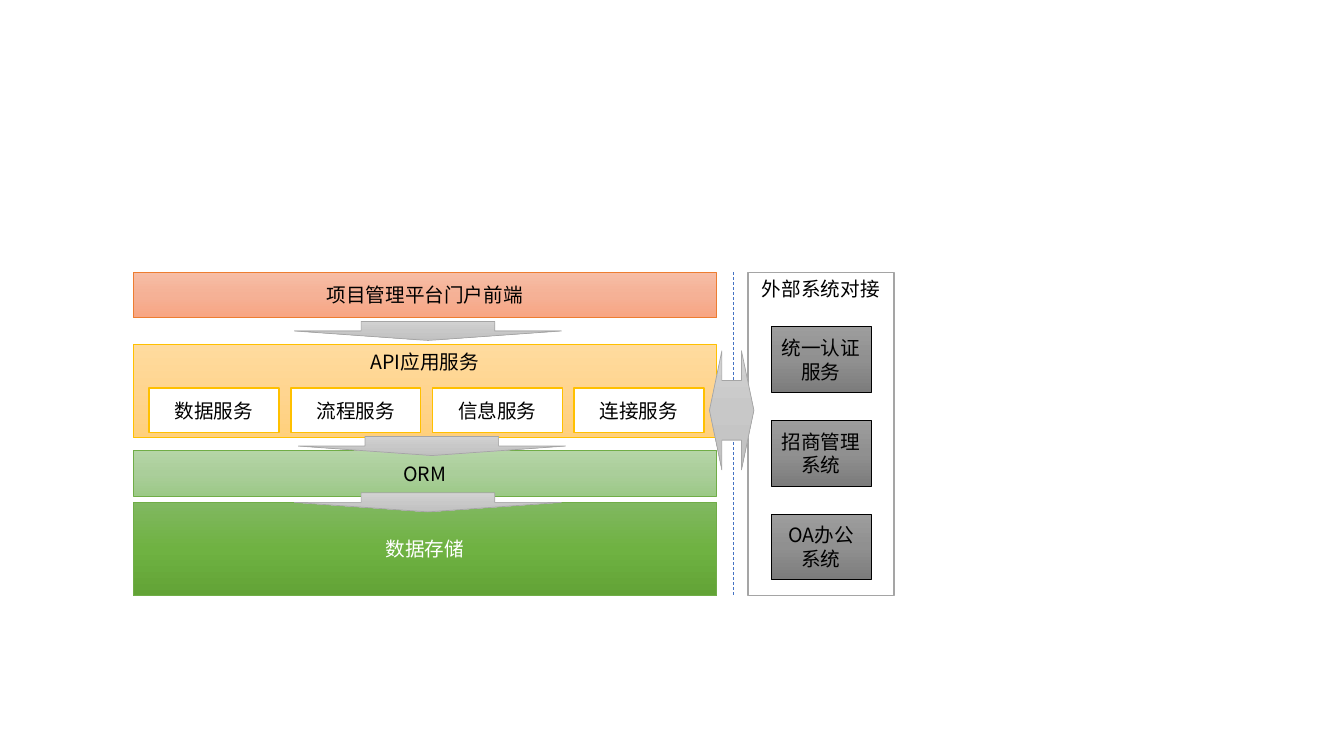
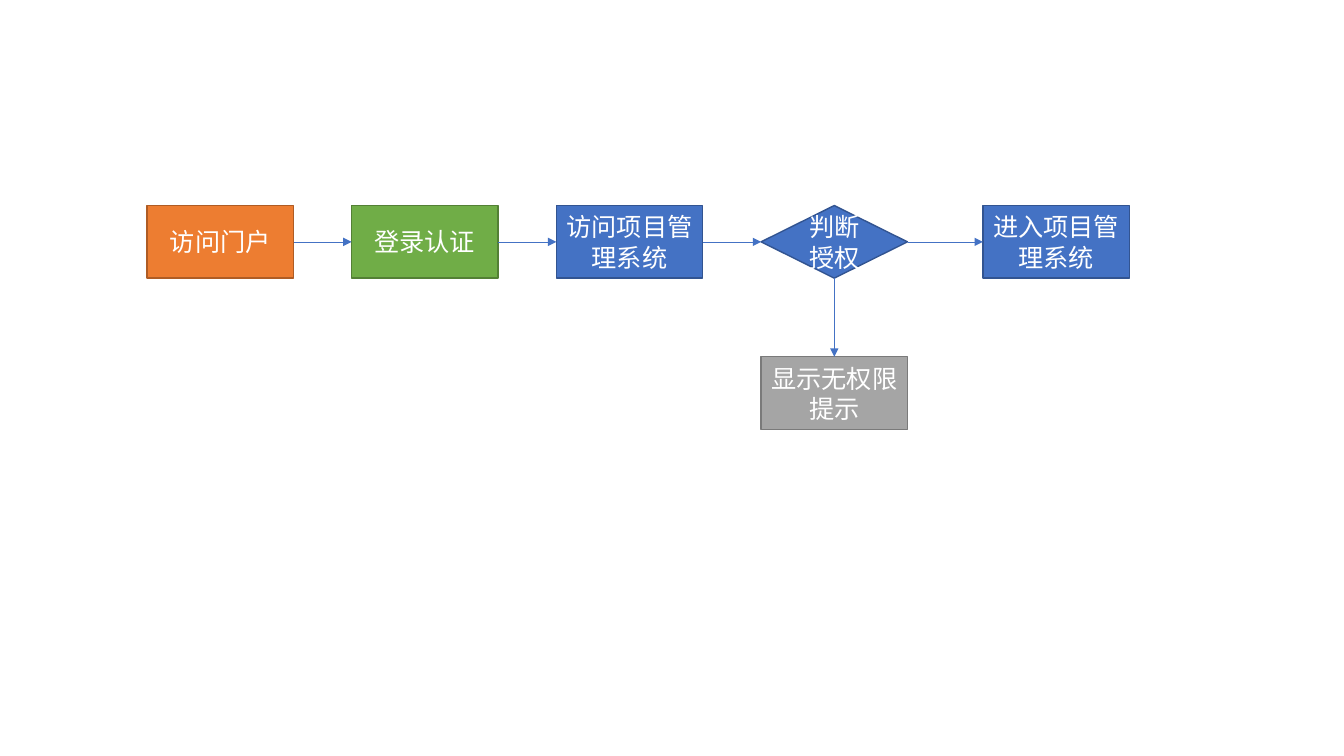
"""Build two slides: a platform architecture and an access flow."""
import copy

import pptx
import pptx.dml.color
import pptx.enum.dml
import pptx.enum.shapes
import pptx.enum.text
import pptx.oxml.ns
import pptx.util
from lxml import etree

Cm = pptx.util.Cm
Pt = pptx.util.Pt
RGB = pptx.dml.color.RGBColor
SHAPE = pptx.enum.shapes.MSO_SHAPE
ANCHOR = pptx.enum.text.MSO_ANCHOR
qn = pptx.oxml.ns.qn

FONT = "Noto Sans CJK SC"
BLACK = RGB(0x00, 0x00, 0x00)
WHITE = RGB(0xFF, 0xFF, 0xFF)
BLUE = RGB(0x44, 0x72, 0xC4)
DARK_BLUE = RGB(0x32, 0x54, 0x91)
ORANGE = RGB(0xED, 0x7D, 0x31)
DARK_ORANGE = RGB(0xAF, 0x5C, 0x24)
GREEN = RGB(0x70, 0xAD, 0x47)
DARK_GREEN = RGB(0x53, 0x80, 0x35)
GRAY = RGB(0xA5, 0xA5, 0xA5)
DARK_GRAY = RGB(0x7A, 0x7A, 0x7A)
GOLD = RGB(0xFF, 0xC0, 0x00)
SALMON_FADE = RGB(0xF7, 0xBD, 0xA5), RGB(0xF5, 0xB1, 0x96), RGB(0xF8, 0xA5, 0x82)
GOLD_FADE = RGB(0xFF, 0xDB, 0x9E), RGB(0xFF, 0xD5, 0x90), RGB(0xFF, 0xD0, 0x7C)
LIME_FADE = RGB(0xB5, 0xD5, 0xA7), RGB(0xAA, 0xCE, 0x9A), RGB(0x9C, 0xC9, 0x87)
GREEN_FADE = RGB(0x81, 0xB8, 0x61), RGB(0x6F, 0xB2, 0x42), RGB(0x62, 0xA3, 0x36)
GRAY_FADE = RGB(0x9D, 0x9D, 0x9D), RGB(0x90, 0x90, 0x90), RGB(0x7C, 0x7C, 0x7C)
SILVER_FADE = RGB(0xD2, 0xD2, 0xD2), RGB(0xC8, 0xC8, 0xC8), RGB(0xC0, 0xC0, 0xC0)

TOP, BOTTOM = 6.86, 15.01
LAYER_LEFT, LAYER_WIDTH = 3.35, 14.71
LAYERS = [
    ("项目管理平台门户前端", TOP, 1.15, SALMON_FADE, ORANGE, BLACK, ANCHOR.MIDDLE),
    ("API应用服务", 8.69, 2.34, GOLD_FADE, GOLD, BLACK, ANCHOR.TOP),
    ("ORM", 11.35, 1.15, LIME_FADE, GREEN, BLACK, ANCHOR.MIDDLE),
    ("数据存储", 12.65, 2.36, GREEN_FADE, GREEN, WHITE, ANCHOR.MIDDLE),
]
SERVICES = ["数据服务", "流程服务", "信息服务", "连接服务"]
EXTERNAL_TITLE = "外部系统对接"
EXTERNAL_SYSTEMS = ["统一认证服务", "招商管理系统", "OA办公系统"]
DOWN_ARROWS = [(7.42, 8.1), (7.52, 11), (7.42, 12.42)]

STEP_WIDTH, STEP_HEIGHT = 3.69, 1.83
FLOW_TOP, DENIED_TOP = 5.18, 8.99
STEPS = [
    ("访问门户", 3.71, FLOW_TOP, SHAPE.RECTANGLE, ORANGE, DARK_ORANGE),
    ("登录认证", 8.86, FLOW_TOP, SHAPE.RECTANGLE, GREEN, DARK_GREEN),
    ("访问项目管理系统", 14.02, FLOW_TOP, SHAPE.RECTANGLE, BLUE, DARK_BLUE),
    ("判断授权", 19.18, FLOW_TOP, SHAPE.DIAMOND, BLUE, DARK_BLUE),
    ("进入项目管理系统", 24.77, FLOW_TOP, SHAPE.RECTANGLE, BLUE, DARK_BLUE),
    ("显示无权限提示", 19.18, DENIED_TOP, SHAPE.RECTANGLE, GRAY, DARK_GRAY),
]
SITE_BOTTOM, SITE_RIGHT, SITE_LEFT, SITE_TOP = 2, 3, 1, 0
LINKS = [(i, SITE_RIGHT, i + 1, SITE_LEFT) for i in range(4)]
LINKS.append((3, SITE_BOTTOM, 5, SITE_TOP))


def paint(fill, colours):
    """Fill with one colour, or with a downward fade of three."""
    if isinstance(colours, RGB):
        fill.solid()
        fill.fore_color.rgb = colours
        return
    fill.gradient()
    fill.gradient_angle = 270
    stops = fill._xPr.find(".//" + qn("a:gsLst"))
    stops.insert(1, copy.deepcopy(stops[0]))
    for stop, position, colour in zip(fill.gradient_stops, (0, 0.5, 1), colours):
        stop.position = position
        stop.color.rgb = colour


def add_block(slide, box, fill, line, line_width=0.5, text="", size=14,
              colour=BLACK, anchor=ANCHOR.MIDDLE, kind=SHAPE.RECTANGLE):
    """Add a filled, outlined shape with optional centred text."""
    block = slide.shapes.add_shape(kind, *map(Cm, box))
    block.shadow.inherit = False
    paint(block.fill, fill)
    block.line.color.rgb = line
    block.line.width = Pt(line_width)
    if text:
        block.text_frame.word_wrap = True
        block.text_frame.vertical_anchor = anchor
        paragraph = block.text_frame.paragraphs[0]
        paragraph.alignment = pptx.enum.text.PP_ALIGN.CENTER
        run = paragraph.add_run()
        run.text = text
        for name, value in {"name": FONT, "size": Pt(size)}.items():
            setattr(run.font, name, value)
        run.font.color.rgb = colour
        etree.SubElement(run.font._element, qn("a:ea"), typeface=FONT)
    return block


def add_line(slide, start=(0, 0), end=(0, 0)):
    """Add a thin blue connector without a shadow."""
    line = slide.shapes.add_connector(
        pptx.enum.shapes.MSO_CONNECTOR.STRAIGHT, *map(Cm, start + end))
    line.line.color.rgb = BLUE
    line.line.width = Pt(0.5)
    etree.SubElement(line._element.spPr, qn("a:effectLst"))
    return line


def build_architecture(slide):
    """Draw the platform layers and the external systems."""
    add_block(slide, (18.85, TOP, 3.68, BOTTOM - TOP), WHITE, GRAY, 1,
              EXTERNAL_TITLE, anchor=ANCHOR.TOP)
    for text, top, height, fill, line, colour, anchor in LAYERS:
        add_block(slide, (LAYER_LEFT, top, LAYER_WIDTH, height), fill, line,
                  text=text, colour=colour, anchor=anchor)
    for i, service in enumerate(SERVICES):
        add_block(slide, (3.76 + 3.57 * i, 9.78, 3.27, 1.12), WHITE, GOLD, 1, service)
    for i, system in enumerate(EXTERNAL_SYSTEMS):
        add_block(slide, (19.43, 8.23 + 2.36 * i, 2.52, 1.66), GRAY_FADE, BLACK,
                  text=system)
    boundary = add_line(slide, (18.47, TOP), (18.47, BOTTOM))
    boundary.line.dash_style = pptx.enum.dml.MSO_LINE.DASH
    for left, top in DOWN_ARROWS:
        add_block(slide, (left, top, 6.73, 0.48), SILVER_FADE, GRAY,
                  kind=SHAPE.DOWN_ARROW)
    exchange = add_block(slide, (17.88, 8.84, 1.12, 3), SILVER_FADE, GRAY,
                         kind=SHAPE.LEFT_RIGHT_ARROW)
    exchange.adjustments[0] = 0.5
    exchange.adjustments[1] = 0.28


def build_flow(slide):
    """Draw the access steps and the arrows that join them."""
    steps = [
        add_block(slide, (left, top, STEP_WIDTH, STEP_HEIGHT), fill, line, 1,
                  text, 18, WHITE, kind=kind)
        for text, left, top, kind, fill, line in STEPS
    ]
    for source, source_site, target, target_site in LINKS:
        link = add_line(slide)
        link.begin_connect(steps[source], source_site)
        link.end_connect(steps[target], target_site)
        etree.SubElement(link.line._get_or_add_ln(), qn("a:tailEnd"), type="triangle")


def main():
    """Build and save the presentation."""
    deck = pptx.Presentation()
    deck.slide_width, deck.slide_height = Cm(33.87), Cm(19.05)
    for build in (build_architecture, build_flow):
        build(deck.slides.add_slide(deck.slide_layouts[6]))
    deck.save("out.pptx")


if __name__ == "__main__":
    main()
